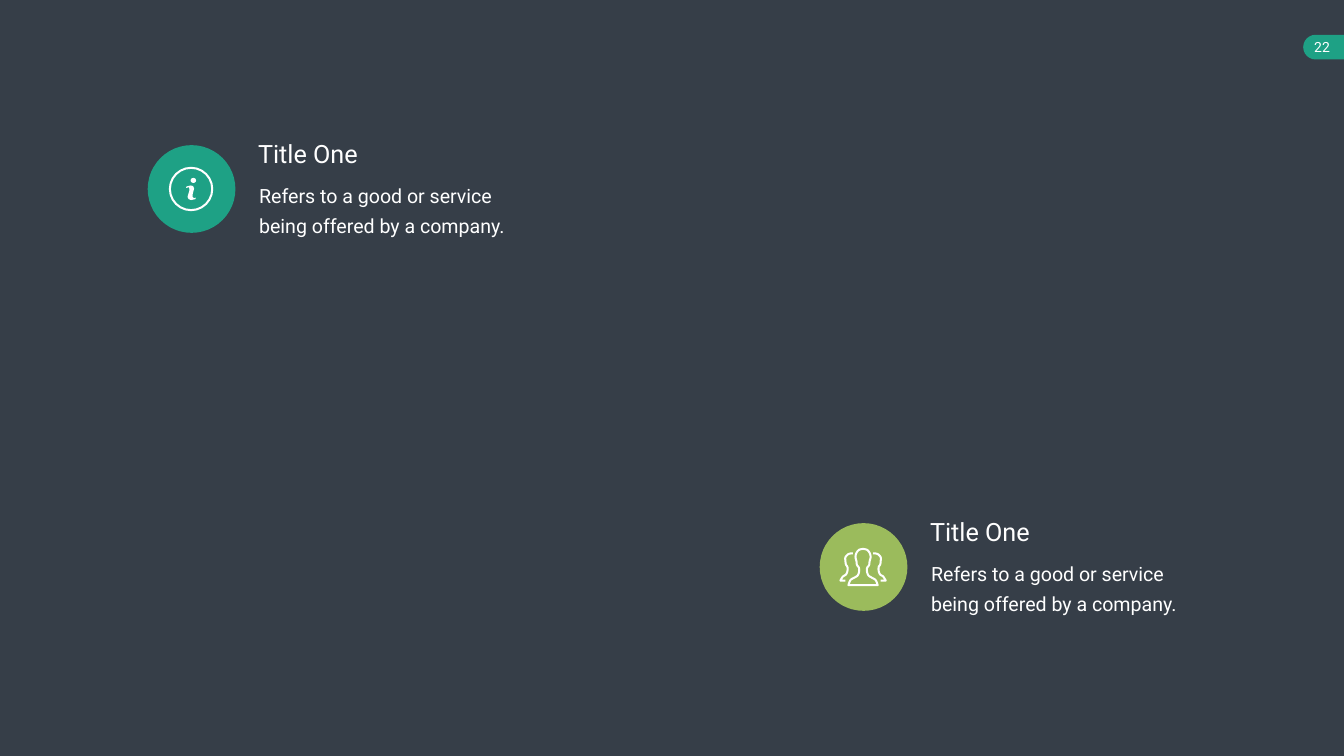
from dataclasses import dataclass

from pptx import Presentation, util as u
from pptx.dml.color import RGBColor
from pptx.enum import shapes as kinds, text as t


@dataclass(frozen=True)
class Theme:
    font: str = "Roboto"
    background: str = "363E48"
    teal: str = "1EA185"
    green: str = "9BBB5C"
    white: str = "FFFFFF"
    heading: int = 36
    body: int = 28
    page: int = 20
    stroke: float = 2.9


THEME = Theme()
PAGE_NUMBER = "22"
DESCRIPTION = "Refers to a good or service being offered by a company."
ITEMS = [
    {"heading": "Title One", "body": DESCRIPTION, "at": (2.93, 2.88),
     "color": THEME.teal, "icon": "info"},
    {"heading": "Title One", "body": DESCRIPTION, "at": (16.26, 10.38),
     "color": THEME.green, "icon": "people"},
]
DISC = 1.74
RING = 0.84

INFO_STEM = [
    (-0.10, -0.02), (-0.09, -0.05), (-0.01, -0.07), (0.04, -0.06), (0.06, -0.01),
    (0.03, 0.11), (0.03, 0.16), (0.06, 0.18), (0.09, 0.17), (0.09, 0.20),
    (0, 0.22), (-0.05, 0.20), (-0.07, 0.16), (-0.06, 0.12), (-0.03, 0.02),
    (-0.04, -0.03), (-0.06, -0.03),
]
FRONT_HALF = [
    (0, -0.36), (0.08, -0.34), (0.13, -0.28), (0.15, -0.20), (0.13, -0.11),
    (0.12, -0.04), (0.08, 0.02), (0.08, 0.10), (0.11, 0.17), (0.17, 0.21),
    (0.25, 0.26), (0.29, 0.36),
]
BACK_SIDE = [
    (0.20, -0.27), (0.24, -0.27), (0.30, -0.25), (0.35, -0.19), (0.35, -0.12),
    (0.34, -0.05), (0.31, 0), (0.31, 0.08), (0.34, 0.15), (0.40, 0.19), (0.45, 0.27),
]
BACK_FOOT = (0.35, 0.27)


def smooth(points, steps=6):
    padded = [points[0], *points, points[-1]]
    curve = []
    for a, b, c, d in zip(padded, padded[1:], padded[2:], padded[3:]):
        for step in range(steps):
            s = step / steps
            curve.append(tuple(
                0.5 * (2 * q + (r - p) * s + (2 * p - 5 * q + 4 * r - v) * s ** 2
                       + (3 * q - p - 3 * r + v) * s ** 3)
                for p, q, r, v in zip(a, b, c, d)))
    return curve + [points[-1]]


def mirror(points):
    return [(-x, y) for x, y in points]


def paint(part, fill=None, line=None):
    part.shadow.inherit = False
    if fill:
        part.fill.solid()
        part.fill.fore_color.rgb = RGBColor.from_string(fill)
    else:
        part.fill.background()
    if line:
        part.line.color.rgb = RGBColor.from_string(line)
        part.line.width = u.Pt(THEME.stroke)
    else:
        part.line.fill.background()
    return part


def add_preset(parent, kind, box, **colors):
    return paint(parent.add_shape(kind, *map(u.Inches, box)), **colors)


def add_outline(parent, center, points, closed=True, **colors):
    placed = [(u.Inches(center[0] + x), u.Inches(center[1] + y)) for x, y in points]
    builder = parent.build_freeform(*placed[0])
    builder.add_line_segments(placed[1:], close=closed)
    return paint(builder.convert_to_shape(), **colors)


def add_text(parent, words, box, *, size, insets=(0.1, 0.05, 0.1, 0.05),
             wrap=False, align=t.PP_ALIGN.LEFT, spacing=None):
    frame = parent.add_textbox(*map(u.Inches, box)).text_frame
    frame.word_wrap = wrap
    frame.auto_size = t.MSO_AUTO_SIZE.SHAPE_TO_FIT_TEXT
    (frame.margin_left, frame.margin_top,
     frame.margin_right, frame.margin_bottom) = map(u.Inches, insets)
    paragraph = frame.paragraphs[0]
    paragraph.alignment = align
    if spacing:
        paragraph.line_spacing = u.Pt(spacing)
    run = paragraph.add_run()
    run.text = words
    run.font.name = THEME.font
    run.font.size = u.Pt(size)
    run.font.color.rgb = RGBColor.from_string(THEME.white)


def add_info(parent, center):
    x, y = center
    oval = kinds.MSO_SHAPE.OVAL
    add_preset(parent, oval, (x - RING / 2, y - RING / 2, RING, RING), line=THEME.white)
    add_preset(parent, oval, (x - 0.01, y - 0.22, 0.11, 0.1), fill=THEME.white)
    add_outline(parent, center, INFO_STEM, fill=THEME.white)


def add_people(parent, center):
    half = smooth(FRONT_HALF)
    add_outline(parent, center, half + mirror(half)[:0:-1], line=THEME.white)
    side = smooth(BACK_SIDE) + [BACK_FOOT]
    for outline in (side, mirror(side)):
        add_outline(parent, center, outline, closed=False, line=THEME.white)


ICONS = {"info": add_info, "people": add_people}


def add_item(slide, item):
    left, top = item["at"]
    group = slide.shapes.add_group_shape().shapes
    add_preset(group, kinds.MSO_SHAPE.OVAL, (left, top, DISC, DISC), fill=item["color"])
    add_text(group, item["heading"], (left + 2.09, top - 0.18, 2.3, 0.71),
             size=THEME.heading)
    add_text(group, item["body"], (left + 1.97, top + 0.52, 5.5, 1.39), size=THEME.body,
             insets=(0.24, 0.12, 0.24, 0.12), wrap=True, spacing=43)
    ICONS[item["icon"]](group, (left + DISC / 2 - 0.01, top + DISC / 2))


def add_page_tab(slide):
    group = slide.shapes.add_group_shape().shapes
    cap = add_preset(group, kinds.MSO_SHAPE.FLOWCHART_DELAY,
                     (25.85, 0.69, 0.49, 0.49), fill=THEME.teal)
    cap.rotation = 180
    add_preset(group, kinds.MSO_SHAPE.RECTANGLE, (26.34, 0.69, 0.32, 0.49), fill=THEME.teal)
    add_text(slide.shapes, PAGE_NUMBER, (25.87, 0.67, 0.91, 0.54), size=THEME.page,
             insets=(0.1, 0.1, 0.3, 0.1), align=t.PP_ALIGN.CENTER)


def main():
    deck = Presentation()
    deck.slide_width, deck.slide_height = u.Inches(26.66), u.Inches(15)
    slide = deck.slides.add_slide(deck.slide_layouts[6])
    slide.background.fill.solid()
    slide.background.fill.fore_color.rgb = RGBColor.from_string(THEME.background)
    add_page_tab(slide)
    for item in ITEMS:
        add_item(slide, item)
    deck.save("out.pptx")


if __name__ == "__main__":
    main()
